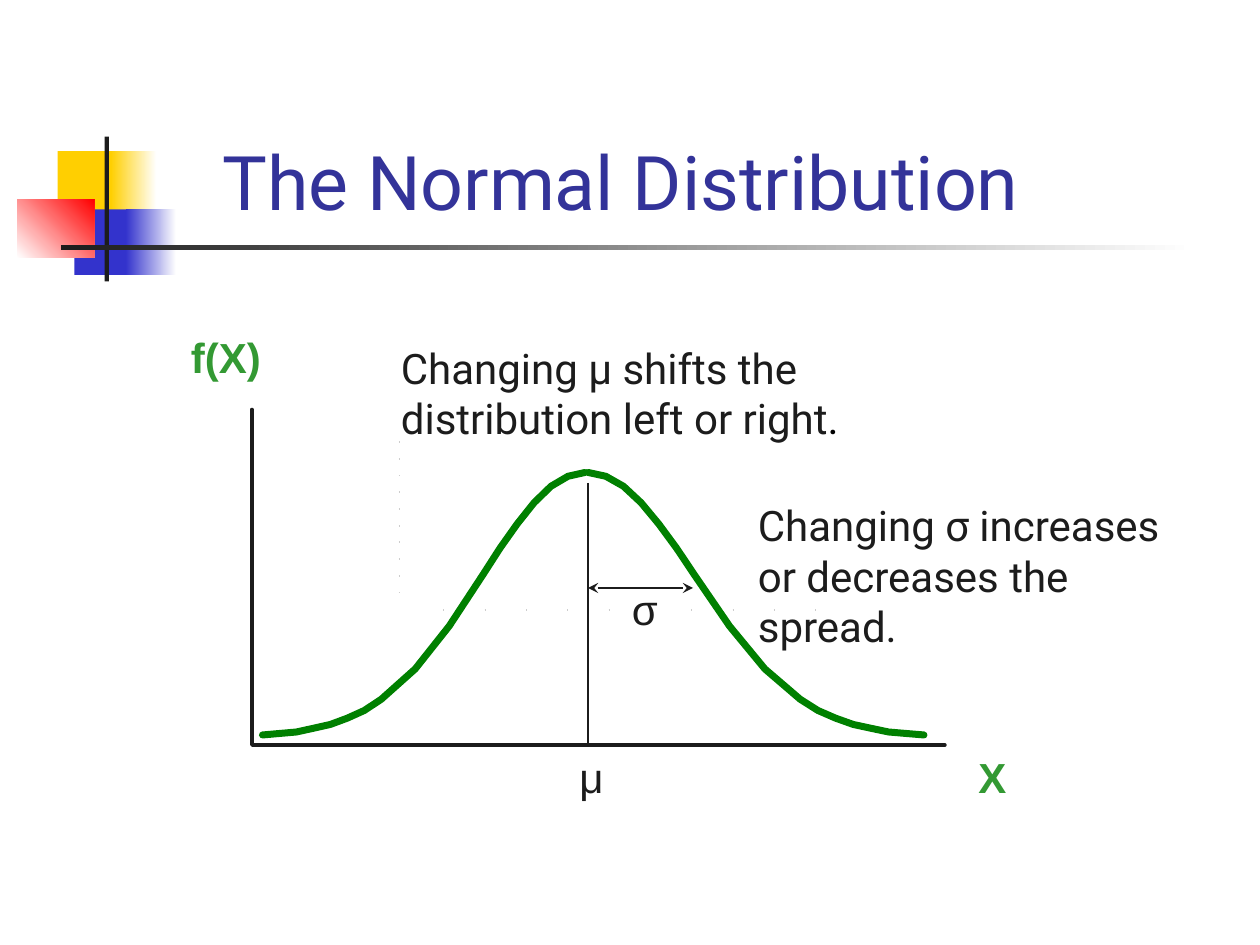
import lxml.etree
import pptx
import pptx.dml.color
import pptx.enum.shapes
import pptx.enum.text
import pptx.oxml.ns
import pptx.util

Pt = pptx.util.Pt
qn = pptx.oxml.ns.qn
RECT = pptx.enum.shapes.MSO_SHAPE.RECTANGLE
STRAIGHT = pptx.enum.shapes.MSO_CONNECTOR.STRAIGHT
ANCHOR = pptx.enum.text.MSO_ANCHOR
AUTO = pptx.enum.text.MSO_AUTO_SIZE
COLORS = {
    "yellow": "FFCF01", "blue": "3333CC", "red": "FF0000", "white": "FFFFFF",
    "ink": "1C1C1C", "title": "333399", "label": "339933", "curve": "008000",
    "dot": "CDCDCD", "black": "000000",
}
RGB = {k: pptx.dml.color.RGBColor.from_string(v) for k, v in COLORS.items()}

prs = pptx.Presentation()
prs.slide_width, prs.slide_height = Pt(720), Pt(540)
s = prs.slides.add_slide(prs.slide_layouts[6])


def add_text(runs, box, size=24, font="Arial", bold=False, wrap=True,
             before=0, spacing=None, anchor=ANCHOR.TOP, auto=AUTO.SHAPE_TO_FIT_TEXT):
    tf = s.shapes.add_textbox(*map(Pt, box)).text_frame
    tf.word_wrap = wrap
    tf.auto_size = auto
    tf.vertical_anchor = anchor
    p = tf.paragraphs[0]
    p.space_before = Pt(before)
    p.line_spacing = spacing
    for text, color in runs:
        r = p.add_run()
        r.text = text
        r.font.size = Pt(size)
        r.font.name = font
        r.font.bold = bold
        r.font.color.rgb = RGB[color]


def add_path(points, color, width):
    points = [(x * 100, y * 100) for x, y in points]
    fb = s.shapes.build_freeform(*points[0], scale=Pt(0.01))
    fb.add_line_segments(points[1:], close=False)
    sp = fb.convert_to_shape()
    sp.shadow.inherit = False
    sp.fill.background()
    sp.line.color.rgb = RGB[color]
    sp.line.width = Pt(width)
    ln = sp.line._get_or_add_ln()
    ln.set("cap", "rnd")
    lxml.etree.SubElement(ln, qn("a:round"))


for box, start, end, angle in [
    ((33, 86.4, 34.6, 37.4), "yellow", None, 0),
    ((63.4, 86.4, 26, 37.4), "yellow", "white", 0),
    ((42.5, 119.7, 33.1, 37.4), "blue", None, 0),
    ((72, 119.7, 28.8, 37.4), "blue", "white", 0),
    ((9.9, 113.8, 44, 33.4), "white", "red", 45),
    ((59.8, 78, 2.4, 82.8), "ink", None, 0),
    ((34.6, 140.2, 648, 2.4), "ink", "white", 0),
]:
    sp = s.shapes.add_shape(RECT, *map(Pt, box))
    sp.shadow.inherit = False
    sp.line.fill.background()
    if end:
        sp.fill.gradient()
        sp.fill.gradient_angle = angle
        for stop, color in zip(sp.fill.gradient_stops, (start, end)):
            stop.color.rgb = RGB[color]
    else:
        sp.fill.solid()
        sp.fill.fore_color.rgb = RGB[start]

add_text([("The Normal Distribution", "title")], (120, 54, 528.5, 78), size=43,
         font="Roboto", spacing=0.8, anchor=ANCHOR.BOTTOM, auto=AUTO.NONE)

add_path([(144, 234), (144, 425.7), (540, 425.7)], "ink", 2)

steps = [0, 2, 3, 4, 5, 6, 7, 9, 11, 13, 14, 15, 16, 17, 18, 19]
heights = [420, 418.3, 416.2, 414, 410.4, 406, 399.6, 382.3,
           357.8, 328.3, 313.2, 299.5, 287.3, 277.9, 272.2, 270]
for x0, dx in [(528, -10.1), (150, 9.7)]:
    add_path([(x0 + dx * n, y) for n, y in zip(steps, heights)], "curve", 4)

dots = [(228, 252.7 + 9.54 * i) for i in range(10)]
dots += [(253.4 + 23.6 * i, 348.5) for i in range(10)]
lines = [(x, y, x + 0.25, y, "dot", False) for x, y in dots]
lines += [(336, 336, 396, 336, "ink", True), (336, 276, 336, 426, "ink", False)]
for x1, y1, x2, y2, color, arrows in lines:
    sp = s.shapes.add_connector(STRAIGHT, Pt(x1), Pt(y1), Pt(x2), Pt(y2))
    sp.line.color.rgb = RGB[color]
    sp.line.width = Pt(1)
    if arrows:
        for tag in ("a:headEnd", "a:tailEnd"):
            lxml.etree.SubElement(sp.line._get_or_add_ln(), qn(tag), type="stealth")
    lxml.etree.SubElement(sp._element.spPr, qn("a:effectLst"))

for text, box in [("X", (552, 426, 30, 36)), ("f(X)", (102, 186, 60, 36))]:
    add_text([(text, "label")], box, bold=True, wrap=False)
for text, box in [("μ", (324, 426, 37.5, 36)), ("σ", (354, 330, 37.5, 36))]:
    add_text([(text, "ink")], box, before=15)
add_text([("Changing μ shifts the distribution left or right", "ink"), (".", "black")],
         (222, 192, 300, 65), font="Roboto", before=15)
add_text([("Changing σ increases or decreases the spread.", "ink")],
         (426, 282, 270, 93.6), font="Roboto", before=15)

prs.save("out.pptx")
